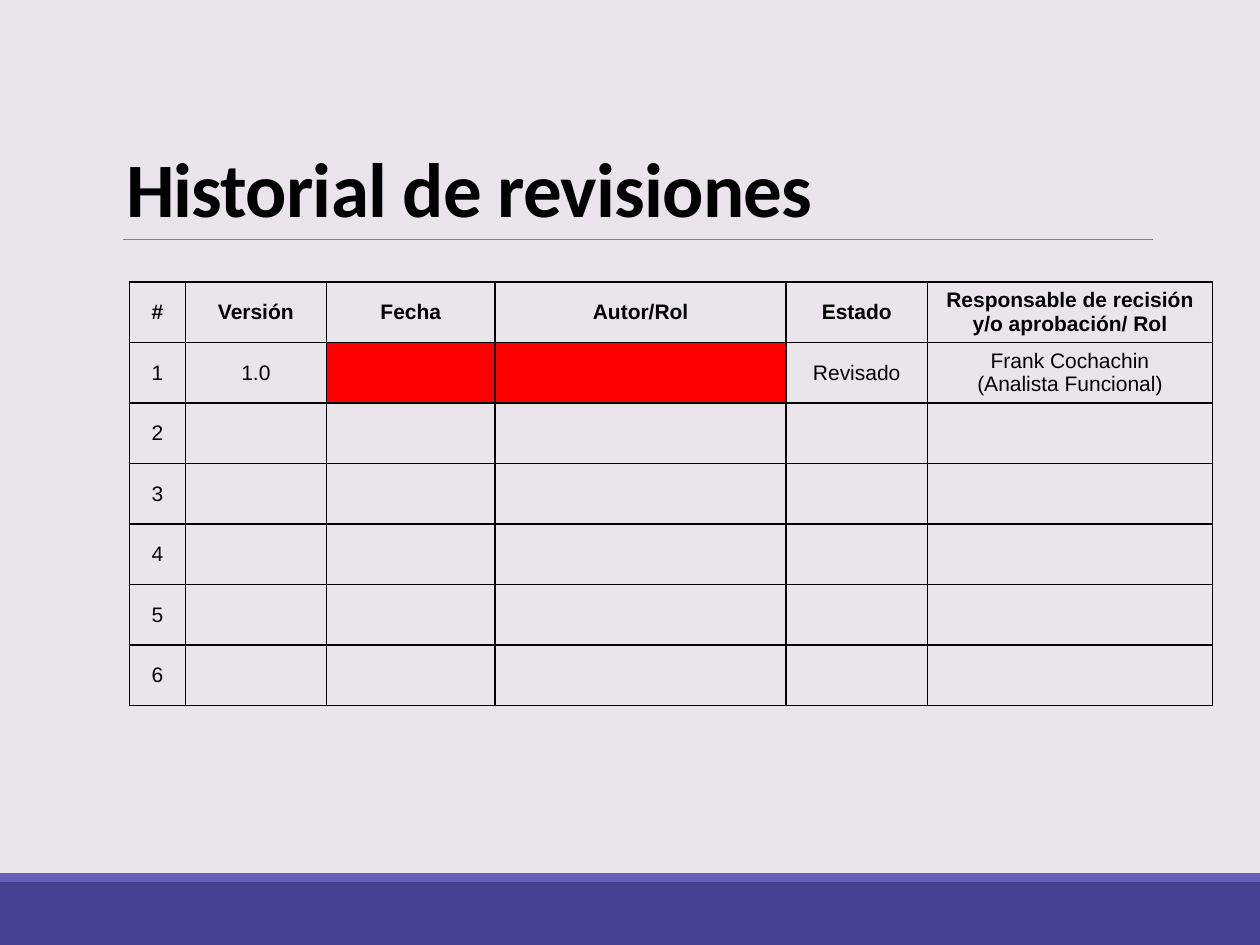
from dataclasses import dataclass

from lxml.etree import SubElement
from pptx import Presentation
from pptx.dml.color import RGBColor
from pptx.enum.shapes import MSO_CONNECTOR, MSO_SHAPE
from pptx.enum.text import MSO_ANCHOR, PP_ALIGN
from pptx.oxml.ns import qn
from pptx.slide import Slide
from pptx.table import _Cell
from pptx.util import Pt


@dataclass(frozen=True)
class Theme:
    """Colours, fonts and type sizes of the slide."""
    background: str = "EAE5EB"
    footer: str = "474091"
    accent: str = "665EB8"
    rule: str = "808080"
    ink: str = "000000"
    pending: str = "FF0000"
    title_font: str = "Calibri"
    table_font: str = "Arial"
    title_size: int = 44
    table_size: int = 12


@dataclass(frozen=True)
class Band:
    """A full-width strip at the foot of the slide."""
    top: float
    height: float
    color: str


@dataclass(frozen=True)
class Column:
    """A table column: heading, width, and its entry in the first revision."""
    heading: str
    width: float
    entry: str


THEME = Theme()
WIDTH, HEIGHT = 720, 540
BANDS = [Band(504, 36, THEME.footer), Band(499, 5, THEME.accent)]
COLUMNS = [
    Column("#", 31.9, "1"),
    Column("Versión", 80.6, "1.0"),
    Column("Fecha", 96.5, ""),
    Column("Autor/Rol", 166.2, ""),
    Column("Estado", 80.8, "Revisado"),
    Column("Responsable de recisión y/o aprobación/ Rol", 163,
           "Frank Cochachin\n(Analista Funcional)"),
]
REVISIONS = 6
ROW_HEIGHT = 34.6


def rgb(color: str) -> RGBColor:
    """Turn a hex string into a colour."""
    return RGBColor.from_string(color)


def add_band(s: Slide, band: Band) -> None:
    """Draw one footer strip."""
    sp = s.shapes.add_shape(MSO_SHAPE.RECTANGLE, 0, Pt(band.top), Pt(WIDTH), Pt(band.height))
    sp.shadow.inherit = False
    sp.fill.solid()
    sp.fill.fore_color.rgb = rgb(band.color)
    sp.line.fill.background()


def add_rule(s: Slide) -> None:
    """Draw the thin line under the title."""
    line = s.shapes.add_connector(MSO_CONNECTOR.STRAIGHT, Pt(70.4), Pt(136.8), Pt(658.8), Pt(136.8))
    line.line.color.rgb = rgb(THEME.rule)
    line.line.width = Pt(0.5)
    SubElement(line._element.spPr, qn("a:effectLst"))


def add_title(s: Slide, text: str) -> None:
    """Write the title, resting on the rule."""
    tf = s.shapes.add_textbox(Pt(65), Pt(22.5), Pt(594), Pt(114.3)).text_frame
    tf.word_wrap = True
    tf.vertical_anchor = MSO_ANCHOR.BOTTOM
    tf.text = text
    p = tf.paragraphs[0]
    p.line_spacing = 0.85
    font = p.runs[0].font
    font.name, font.size, font.bold = THEME.title_font, Pt(THEME.title_size), True
    font.color.rgb = rgb(THEME.ink)
    p.runs[0]._r.get_or_add_rPr().set("spc", "-50")


def add_borders(cell: _Cell) -> None:
    """Outline a cell; call before filling, since borders precede the fill."""
    tc_pr = cell._tc.get_or_add_tcPr()
    for side in ("a:lnL", "a:lnR", "a:lnT", "a:lnB"):
        ln = SubElement(tc_pr, qn(side), w=str(Pt(1)))
        SubElement(SubElement(ln, qn("a:solidFill")), qn("a:srgbClr"), val=THEME.ink)


def format_cell(cell: _Cell, text: str, bold: bool, fill: str | None) -> None:
    """Set text, borders and fill of one cell."""
    cell.vertical_anchor = MSO_ANCHOR.MIDDLE
    cell.margin_top = cell.margin_bottom = Pt(2)
    add_borders(cell)
    if fill:
        cell.fill.solid()
        cell.fill.fore_color.rgb = rgb(fill)
    else:
        cell.fill.background()
    cell.text_frame.text = text
    for p in cell.text_frame.paragraphs:
        p.alignment = PP_ALIGN.CENTER
        p.font.size = Pt(THEME.table_size)
        for r in p.runs:
            r.font.name, r.font.size, r.font.bold = THEME.table_font, Pt(THEME.table_size), bold
            r.font.color.rgb = rgb(THEME.ink)


def add_history(s: Slide) -> None:
    """Build the revision table: headings, first revision, numbered empty rows."""
    rows = [[c.heading for c in COLUMNS], [c.entry for c in COLUMNS]]
    rows += [[str(n)] + [""] * (len(COLUMNS) - 1) for n in range(2, REVISIONS + 1)]
    table = s.shapes.add_table(len(rows), len(COLUMNS), Pt(74), Pt(161.2),
                               Pt(sum(c.width for c in COLUMNS)),
                               Pt(ROW_HEIGHT * len(rows))).table
    for column, spec_column in zip(table.columns, COLUMNS):
        column.width = Pt(spec_column.width)
    for i, texts in enumerate(rows):
        table.rows[i].height = Pt(ROW_HEIGHT)
        for j, text in enumerate(texts):
            fill = THEME.pending if i == 1 and not text else None
            format_cell(table.cell(i, j), text, i == 0, fill)


def main() -> None:
    """Build and save the slide."""
    prs = Presentation()
    prs.slide_width, prs.slide_height = Pt(WIDTH), Pt(HEIGHT)
    s = prs.slides.add_slide(prs.slide_layouts[6])
    s.background.fill.solid()
    s.background.fill.fore_color.rgb = rgb(THEME.background)
    for band in BANDS:
        add_band(s, band)
    add_rule(s)
    add_title(s, "Historial de revisiones")
    add_history(s)
    prs.save("out.pptx")


main()
